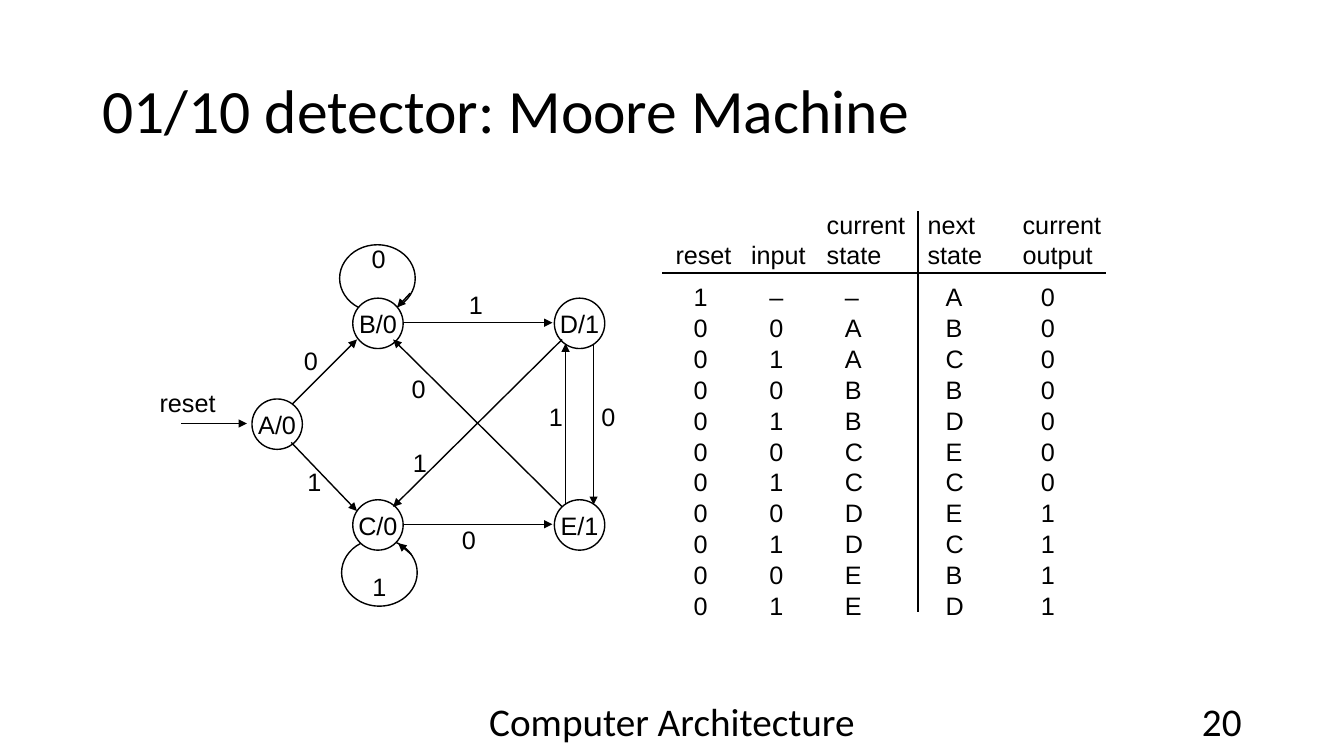
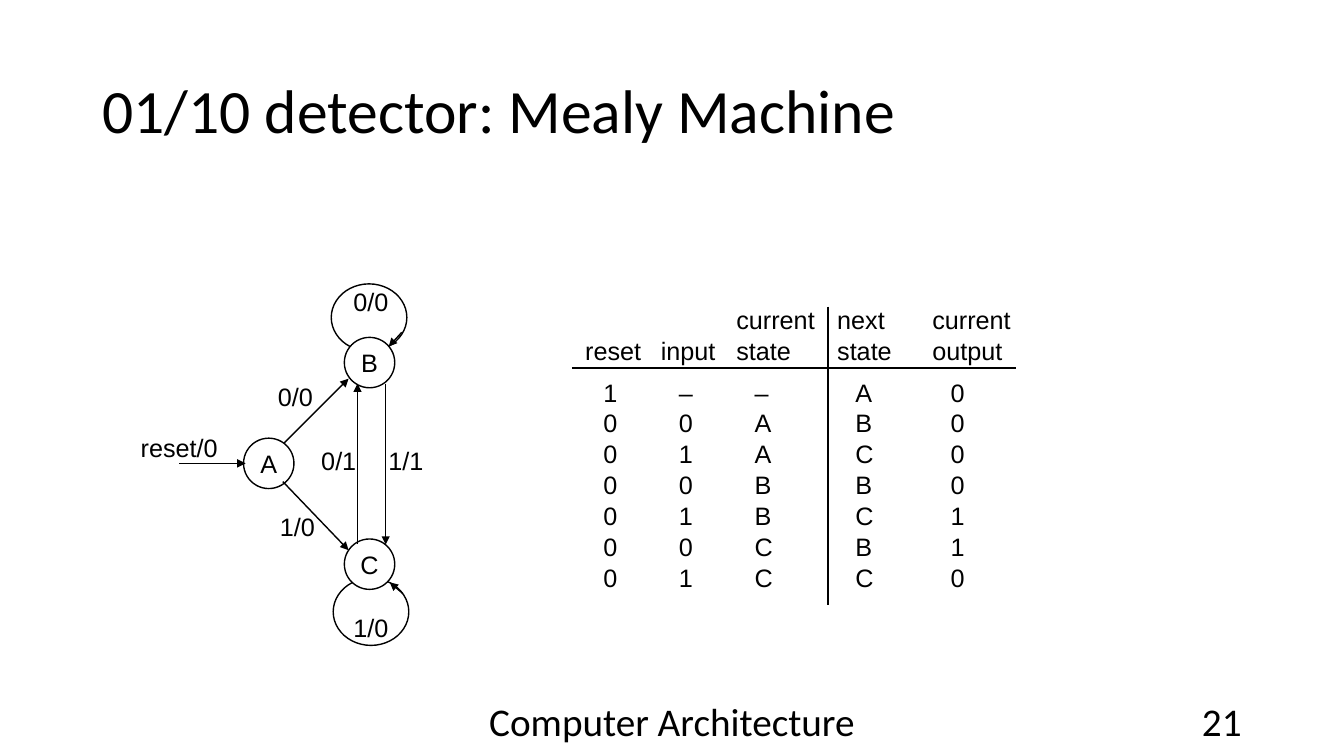
from dataclasses import dataclass

from lxml import etree
from pptx import Presentation
from pptx.dml.color import RGBColor
from pptx.enum.shapes import MSO_CONNECTOR, MSO_SHAPE
from pptx.enum.text import MSO_ANCHOR, PP_ALIGN
from pptx.oxml.ns import qn
from pptx.util import Pt

LINE, OVAL = MSO_CONNECTOR.STRAIGHT, MSO_SHAPE.OVAL
LEFT, MID, RIGHT = PP_ALIGN.LEFT, PP_ALIGN.CENTER, PP_ALIGN.RIGHT
TOP, CENTRE, BOTTOM = MSO_ANCHOR.TOP, MSO_ANCHOR.MIDDLE, MSO_ANCHOR.BOTTOM
BLACK, WHITE = "000000", "FFFFFF"
HEAD, BODY = "Calibri", "Arial"
ROW = 22  # line pitch of diagram and table text
NODE = 36  # state circle diameter
COLS = (54, 54, 72, 68, 68)
HEADS = ("reset", "input", "current\nstate", "next\nstate", "current\noutput")


@dataclass(frozen=True)
class Edge:
    x1: float
    y1: float
    x2: float
    y2: float


@dataclass(frozen=True)
class Label:
    text: str
    mid: float
    top: float


@dataclass(frozen=True)
class Machine:
    title: str
    page: int
    left: float  # diagram origin
    top: float
    nodes: dict[str, tuple[float, float]]
    edges: tuple[Edge, ...]
    labels: tuple[Label, ...]
    grid: tuple[float, float]  # table origin
    drop: float  # end of the upright rule below the table origin
    rows: tuple[str, ...]


# Parts of the diagram that both machines have
LOOPS = ((62.6, -38.2), (64, 172))
SHARED = (
    Edge(113, -3.6, 103.7, 6.5),
    Edge(113.8, 183, 104.4, 175),
    Edge(28.8, 75.6, 75, 29.5),
    Edge(28, 103, 75, 152),
)

MACHINES = (
    Machine(
        "01/10 detector: Moore Machine", 20, 180, 213,
        {"A/0": (0, 72), "B/0": (72, 0), "C/0": (72, 144),
         "D/1": (216, 0), "E/1": (216, 144)},
        (Edge(-50.4, 89.5, -3.6, 89.5),
         Edge(108, 17.5, 214.6, 17.5),
         Edge(108.7, 161.5, 214.6, 161.5),
         Edge(221.5, 149, 100.8, 29.5),
         Edge(221.5, 29.5, 100.8, 149),
         Edge(244, 32.4, 244, 147.6),
         Edge(224, 147, 224, 32.4)),
        (Label("reset", -46, 61), Label("0", 42, 31),
         Label("0", 90.4, -41.8), Label("1", 160, -8.6),
         Label("0", 119, 51), Label("1", 120, 104.4),
         Label("1", 217, 71.5), Label("0", 254.6, 71.5),
         Label("1", 44.5, 117.4), Label("1", 91, 193),
         Label("0", 155, 159)),
        (482.5, 149), 288,
        ("1––A0", "00AB0", "01AC0", "00BB0", "01BD0", "00CE0",
         "01CC0", "00DE1", "01DC1", "00EB1", "01ED1"),
    ),
    Machine(
        "01/10 detector: Mealy Machine", 21, 174, 241,
        {"A": (0, 72), "B": (72, 0), "C": (72, 144)},
        (Edge(-46, 90, 1.4, 90),
         Edge(101.5, 33, 101.5, 148),
         Edge(81.4, 147.6, 81.4, 33)),
        (Label("reset/0", -46, 65.5), Label("0/0", 37, 29),
         Label("0/0", 91, -39), Label("0/1", 68, 75),
         Label("1/1", 116, 75), Label("1/0", 38.5, 121.7),
         Label("1/0", 91, 194)),
        (418, 217), 215,
        ("1––A0", "00AB0", "01AC0", "00BB0", "01BC1", "00CB1", "01CC0"),
    ),
)


def paint(code: str) -> RGBColor:
    return RGBColor.from_string(code)


def put(frame, text: str, *, size=18, font=BODY, align=LEFT, pitch=None):
    """Write text, one paragraph a line, with one format."""
    frame.text = text
    for para in frame.paragraphs:
        para.alignment = align
        para.line_spacing = pitch
        para.font.size = Pt(size)
        para.font.name = font
        para.font.color.rgb = paint(BLACK)


def box(slide, text: str, x, y, w, h, *, inset=None, anchor=TOP, **style):
    frame = slide.shapes.add_textbox(Pt(x), Pt(y), Pt(w), Pt(h)).text_frame
    frame.word_wrap = True
    frame.vertical_anchor = anchor
    if inset is not None:
        frame.margin_left = frame.margin_right = Pt(inset)
        frame.margin_top = frame.margin_bottom = Pt(inset)
    put(frame, text, **style)


def ring(slide, x, y, w, h, *, fill=None, text=""):
    shape = slide.shapes.add_shape(OVAL, Pt(x), Pt(y), Pt(w), Pt(h))
    shape.shadow.inherit = False
    shape.line.color.rgb = paint(BLACK)
    shape.line.width = Pt(1)
    if fill:
        shape.fill.solid()
        shape.fill.fore_color.rgb = paint(fill)
    else:
        shape.fill.background()
    if text:
        frame = shape.text_frame
        frame.word_wrap = False
        frame.vertical_anchor = CENTRE
        frame.margin_left = frame.margin_right = 0
        frame.margin_top = frame.margin_bottom = 0
        put(frame, text, align=MID, pitch=Pt(ROW))


def rule(slide, x1, y1, x2, y2, *, width=1.5, arrow=False):
    link = slide.shapes.add_connector(LINE, Pt(x1), Pt(y1), Pt(x2), Pt(y2))
    link.line.color.rgb = paint(BLACK)
    link.line.width = Pt(width)
    props = link.element.spPr
    if arrow:
        etree.SubElement(props.find(qn("a:ln")), qn("a:tailEnd"), type="triangle")
    etree.SubElement(props, qn("a:effectLst"))


def graph(slide, item: Machine):
    """Draw the state diagram."""
    x, y = item.left, item.top
    for dx, dy in LOOPS:
        ring(slide, x + dx, y + dy, 54, 48)
    for name, (dx, dy) in item.nodes.items():
        ring(slide, x + dx, y + dy, NODE, NODE, fill=WHITE, text=name)
    for edge in SHARED + item.edges:
        rule(slide, x + edge.x1, y + edge.y1, x + edge.x2, y + edge.y2,
             width=1, arrow=True)
    for label in item.labels:
        box(slide, label.text, x + label.mid - 32, y + label.top, 64, 32,
            inset=2, align=MID, pitch=Pt(ROW))


def grid(slide, item: Machine):
    """Draw the transition table and its two rules."""
    x, y = item.grid
    lines = (HEADS,) + item.rows
    high = 52 + ROW * len(item.rows)
    table = slide.shapes.add_table(
        len(lines), len(COLS), Pt(x), Pt(y), Pt(sum(COLS)), Pt(high)).table
    table.first_row = table.horz_banding = False
    for col, width in zip(table.columns, COLS):
        col.width = Pt(width)
    for r, line in enumerate(lines):
        table.rows[r].height = Pt(ROW if r else 52)
        for c, text in enumerate(line):
            cell = table.cell(r, c)
            cell.fill.background()
            cell.margin_left = Pt(13 if r else 0)
            cell.margin_right = cell.margin_top = 0
            cell.margin_bottom = Pt(0 if r else 8)
            cell.vertical_anchor = TOP if r else BOTTOM
            put(cell.text_frame, text, pitch=Pt(ROW))
    rule(slide, x - 9.5, y + 46, x + 307.5, y + 46)
    rule(slide, x + 173.5, y + 2, x + 173.5, y + item.drop)


def frame(slide, item: Machine):
    """Set the title and the footer."""
    title = slide.shapes.title
    title.left, title.top, title.width, title.height = (
        Pt(66), Pt(29), Pt(828), Pt(104))
    title.text_frame.vertical_anchor = CENTRE
    put(title.text_frame, item.title, size=44, font=HEAD, pitch=0.9)
    foot = dict(size=28, font=HEAD, anchor=CENTRE)
    box(slide, "Computer Architecture", 318, 500.5, 324, 29, align=MID, **foot)
    box(slide, str(item.page), 678, 500.5, 216, 29, align=RIGHT, **foot)


def main():
    deck = Presentation()
    deck.slide_width, deck.slide_height = Pt(960), Pt(540)
    for item in MACHINES:
        slide = deck.slides.add_slide(deck.slide_layouts[5])
        frame(slide, item)
        graph(slide, item)
        grid(slide, item)
    deck.save("out.pptx")


if __name__ == "__main__":
    main()
